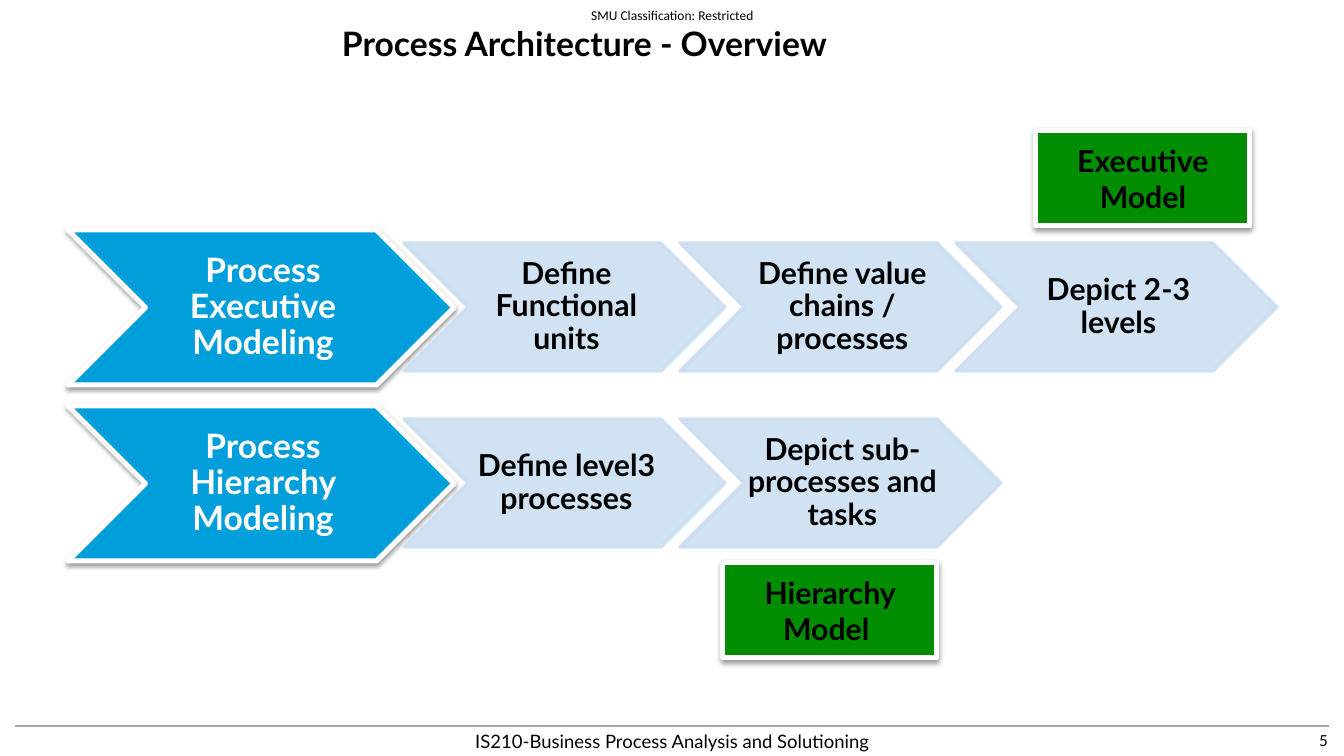
from lxml import etree
from pptx import Presentation
from pptx import util as u
from pptx.dml.color import RGBColor
from pptx.enum import shapes, text
from pptx.oxml.ns import qn

PX = 914400 / 121
COLORS = {"black": "000000", "white": "FFFFFF", "lead": "009EDB",
          "step": "CCDFF1", "model": "008E00", "rule": "A6A6A6"}
CENTER, RIGHT = text.PP_ALIGN.CENTER, text.PP_ALIGN.RIGHT
MIDDLE, BOTTOM = text.MSO_ANCHOR.MIDDLE, text.MSO_ANCHOR.BOTTOM
TIGHT = (4, 1, 0, 1)
INSETS = (12, 6, 12, 6)

ROWS = [
    ("Process Executive Modeling",
     ["Define Functional units", "Define value chains / processes", "Depict 2-3 levels"]),
    ("Process Hierarchy Modeling",
     ["Define level3 processes", "Depict sub-processes and tasks"]),
]
LEAD_W, LEAD_H = 386, 155
STEP_W, STEP_H = 321, 128
FIRST_STEP, STEP_PITCH, ROW_PITCH = 336, 276, 176


def px(length):
    return u.Emu(round(length * PX))


def rgb(name):
    return RGBColor.from_string(COLORS[name])


def write(shape, words, size, color="black", bold=False, align=CENTER,
          anchor=MIDDLE, insets=INSETS, spacing=None, font="Lato"):
    frame = shape.text_frame
    frame.word_wrap = True
    frame.vertical_anchor = anchor
    (frame.margin_left, frame.margin_top,
     frame.margin_right, frame.margin_bottom) = map(px, insets)
    paragraph = frame.paragraphs[0]
    paragraph.alignment = align
    paragraph.line_spacing = spacing
    run = paragraph.add_run()
    run.text = words
    run.font.name, run.font.size, run.font.bold = font, u.Pt(size), bold
    run.font.color.rgb = rgb(color)


def add_label(slide, box, words, size, **style):
    write(slide.shapes.add_textbox(*map(px, box)), words, size, **style)


def add_block(slide, preset, box, fill, line, width):
    block = slide.shapes.add_shape(preset, *map(px, box))
    block.fill.solid()
    block.fill.fore_color.rgb = rgb(fill)
    block.line.color.rgb = rgb(line)
    block.line.width = u.Pt(width)
    block.shadow.inherit = False
    return block


def set_alpha(color, percent):
    etree.SubElement(color, qn("a:alpha"), val=str(percent * 1000))


def drop_shadow(block):
    effects = block._element.spPr.find(qn("a:effectLst"))
    shadow = etree.SubElement(effects, qn("a:outerShdw"), blurRad=str(u.Pt(3.1)),
                              dist=str(u.Pt(1.6)), dir="5400000", rotWithShape="0")
    set_alpha(etree.SubElement(shadow, qn("a:srgbClr"), val=COLORS["black"]), 38)


def add_header(slide, left, top):
    add_label(slide, (left + 303, top, 197, 30), "SMU Classification: Restricted", 8,
              insets=(0, 0, 0, 0), font="Calibri")
    add_label(slide, (left, top + 16, 627, 53), "Process Architecture - Overview", 20,
              bold=True, anchor=BOTTOM)


def add_footer(slide, left, top, width):
    rule = slide.shapes.add_connector(shapes.MSO_CONNECTOR.STRAIGHT,
                                      *map(px, (left, top, left + width, top)))
    rule.line.color.rgb = rgb("rule")
    rule.line.width = u.Pt(0.75)
    etree.SubElement(rule._element.spPr, qn("a:effectLst"))
    add_label(slide, (left + 352, top - 5, 611, 40),
              "IS210-Business Process Analysis and Solutioning", 11)
    add_label(slide, (left + width - 291, top - 5, 302, 40), "5", 9, align=RIGHT)


def add_process_row(slide, left, top, lead, steps):
    chevron = shapes.MSO_SHAPE.CHEVRON
    block = add_block(slide, chevron, (left, top, LEAD_W, LEAD_H), "lead", "white", 3)
    drop_shadow(block)
    write(block, lead, 20, color="white", bold=True, insets=TIGHT, spacing=0.9)
    step_top = top + (LEAD_H - STEP_H) // 2
    for i, step in enumerate(steps):
        box = (left + FIRST_STEP + i * STEP_PITCH, step_top, STEP_W, STEP_H)
        block = add_block(slide, chevron, box, "step", "step", 2)
        for color in block._element.spPr.iter(qn("a:srgbClr")):
            set_alpha(color, 90)
        write(block, step, 18, bold=True, insets=TIGHT, spacing=0.9)


def add_model(slide, left, top, words):
    block = add_block(slide, shapes.MSO_SHAPE.RECTANGLE, (left, top, 214, 95),
                      "model", "white", 3)
    drop_shadow(block)
    write(block, words, 18, bold=True)


def main():
    deck = Presentation()
    deck.slide_width, deck.slide_height = px(1344), px(756)
    slide = deck.slides.add_slide(deck.slide_layouts[6])

    # Header and footer
    add_footer(slide, 15, 726, 1314)
    add_header(slide, 271, 0)

    # Process rows
    for i, (lead, steps) in enumerate(ROWS):
        add_process_row(slide, 68, 230 + i * ROW_PITCH, lead, steps)

    # Resulting models
    add_model(slide, 1036, 131, "Executive Model")
    add_model(slide, 723, 563, "Hierarchy Model ")

    deck.save("out.pptx")


if __name__ == "__main__":
    main()
